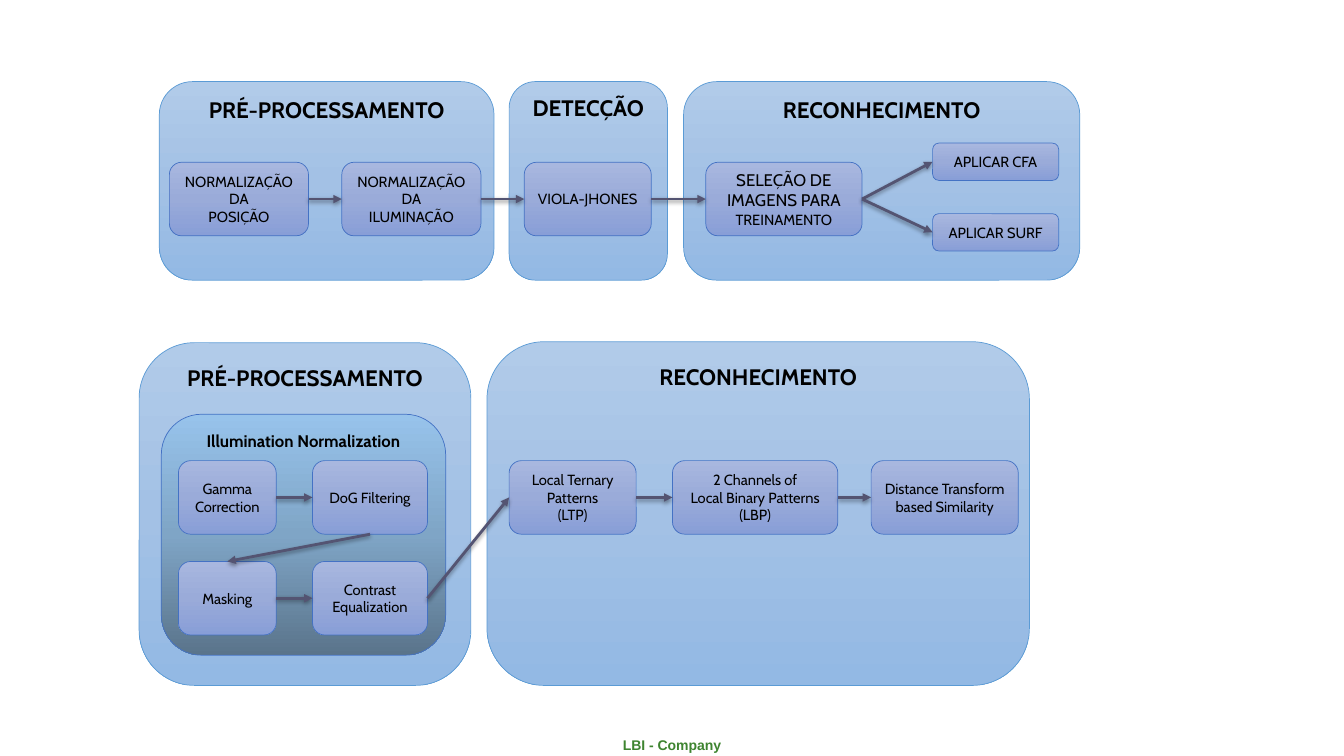
"""Build a slide with two face recognition pipelines."""
from copy import deepcopy

from lxml import etree
from pptx import Presentation
from pptx import util as u
from pptx.dml.color import RGBColor
from pptx.enum import shapes, text
from pptx.oxml.ns import qn

COLORS = {
    "panel": ("B1CBE9", "A3C1E5", "93B9E4"),
    "group": ("97C3EB", "7FA5C6", "5A748B"),
    "box": ("A8B7DF", "9AABD9", "889ED7"),
    "panel_line": "5B9BD5",
    "box_line": "4472C4",
    "arrow": "545472",
    "shadow": "000000",
    "text": "000000",
    "footer": "3E8430",
}
TOP, LEFT, BOTTOM, RIGHT = range(4)


class Deck:
    """Hold the style and the current slide, on a grid of tenths of an inch."""

    cell = u.Inches(0.1)
    font = "Cabin"

    def __init__(self, prs):
        """Add a blank slide to the presentation."""
        self.slide = prs.slides.add_slide(prs.slide_layouts[6])

    def grid(self, *cells):
        """Turn grid columns and rows into lengths."""
        return [round(n * self.cell) for n in cells]

    def style_run(self, r, size, bold=False, color="text", font=None):
        """Set the font of one run."""
        r.font.name = font or self.font
        r.font.size = u.Pt(size)
        r.font.bold = bold
        r.font.color.rgb = RGBColor.from_string(COLORS[color])

    def set_text(self, tf, words, size, **style):
        """Set centred paragraphs."""
        tf.word_wrap = True
        tf.text = words
        for p in tf.paragraphs:
            p.alignment = text.PP_ALIGN.CENTER
            for r in p.runs:
                self.style_run(r, size, **style)

    def add_words(self, sp, words, size):
        """Add a run in another size to the last paragraph."""
        r = sp.text_frame.paragraphs[-1].add_run()
        r.text = words
        self.style_run(r, size)

    def shade(self, fill, colors):
        """Fill from top to bottom through three colours."""
        fill.gradient()
        fill.gradient_angle = 270
        first = fill.gradient_stops[0]._gs
        first.addnext(deepcopy(first))
        for i, (stop, color) in enumerate(zip(fill.gradient_stops, colors)):
            stop.position = i / 2
            stop.color.rgb = RGBColor.from_string(color)

    def rounded(self, at, words, size, fill, line, anchor, bold):
        """Add a rounded rectangle with text."""
        sp = self.slide.shapes.add_shape(
            shapes.MSO_SHAPE.ROUNDED_RECTANGLE, *self.grid(*at))
        sp.shadow.inherit = False
        self.shade(sp.fill, COLORS[fill])
        sp.line.color.rgb = RGBColor.from_string(COLORS[line])
        sp.line.width = u.Pt(0.5)
        sp.text_frame.vertical_anchor = anchor
        self.set_text(sp.text_frame, words, size, bold=bold)
        return sp

    def panel(self, at, words, size=16, fill="panel", line="panel_line"):
        """Add a titled area."""
        return self.rounded(at, words, size, fill, line,
                            text.MSO_ANCHOR.TOP, True)

    def box(self, at, words, size=10.5):
        """Add a process step."""
        return self.rounded(at, words, size, "box", "box_line",
                            text.MSO_ANCHOR.MIDDLE, False)

    def arrow(self, start, end, leave=RIGHT, enter=LEFT):
        """Join two steps with a shadowed arrow."""
        line = self.slide.shapes.add_connector(
            shapes.MSO_CONNECTOR.STRAIGHT, 0, 0, 0, 0)
        line.begin_connect(start, leave)
        line.end_connect(end, enter)
        line.line.color.rgb = RGBColor.from_string(COLORS["arrow"])
        line.line.width = u.Pt(2)
        sp_pr = line._element.spPr
        etree.SubElement(sp_pr.find(qn("a:ln")), qn("a:tailEnd"),
                         type="triangle")
        effects = etree.SubElement(sp_pr, qn("a:effectLst"))
        shadow = etree.SubElement(
            effects, qn("a:outerShdw"), blurRad=str(u.Pt(3.1)),
            dist=str(u.Pt(1.6)), dir="5400000", rotWithShape="0")
        color = etree.SubElement(shadow, qn("a:srgbClr"), val=COLORS["shadow"])
        etree.SubElement(color, qn("a:alpha"), val="38000")

    def footer(self, at, words):
        """Add the footer line."""
        sp = self.slide.shapes.add_textbox(*self.grid(*at))
        self.set_text(sp.text_frame, words, 10, bold=True, color="footer",
                      font="Arial")


PANELS = [
    ((15.8, 8.1, 33.2, 19.7), "PRÉ-PROCESSAMENTO"),
    ((50.5, 8.1, 15.7, 19.7), "DETECÇÃO"),
    ((67.8, 8.1, 39.3, 19.7), "RECONHECIMENTO"),
    ((13.8, 34, 32.9, 34), "PRÉ-PROCESSAMENTO"),
    ((48.3, 33.9, 53.8, 34.1), "RECONHECIMENTO"),
]
ROWS = [
    (16.1, 7.3, [
        ("position", 16.8, 13.8, "NORMALIZAÇÃO DA\nPOSIÇÃO"),
        ("lighting", 33.9, 13.8, "NORMALIZAÇÃO DA\nILUMINAÇÃO"),
        ("viola", 52, 12.6, "VIOLA-JHONES")]),
    (14.2, 3.7, [("cfa", 92.5, 12.5, "APLICAR CFA")]),
    (21.2, 3.7, [("surf", 92.5, 12.5, "APLICAR SURF")]),
    (45.7, 7.3, [
        ("gamma", 17.7, 9.7, "Gamma Correction"),
        ("dog", 31, 11.4, "DoG Filtering"),
        ("ltp", 50.5, 12.6, "Local Ternary Patterns\n(LTP)"),
        ("lbp", 66.7, 16.4, "2 Channels of\nLocal Binary Patterns\n(LBP)"),
        ("distance", 86.4, 14.6, "Distance Transform based Similarity")]),
    (55.7, 7.3, [
        ("masking", 17.7, 9.7, "Masking"),
        ("contrast", 31, 11.4, "Contrast Equalization")]),
]
FLOWS = [
    ("position", "lighting", "viola", "selection", "cfa"),
    ("selection", "surf"),
    ("gamma", "dog"),
    ("masking", "contrast", "ltp", "lbp", "distance"),
]

prs = Presentation()
prs.slide_width, prs.slide_height = u.Inches(13.33), u.Inches(7.5)
deck = Deck(prs)

deck.footer((0, 72.6, 133.3, 2.7), "LBI - Company")
for at, title in PANELS:
    deck.panel(at, title)
deck.panel((16, 41.1, 28.2, 23.9), "Illumination Normalization", 12,
           "group", "box_line")

steps = {name: deck.box((left, top, width, height), words)
         for top, height, row in ROWS for name, left, width, words in row}
steps["selection"] = deck.box((70, 16.1, 15.5, 7.3),
                              "SELEÇÃO DE IMAGENS PARA ", 12)
deck.add_words(steps["selection"], "TREINAMENTO", 10.5)

for flow in FLOWS:
    for start, end in zip(flow, flow[1:]):
        deck.arrow(steps[start], steps[end])
deck.arrow(steps["dog"], steps["masking"], BOTTOM, TOP)

prs.save("out.pptx")
